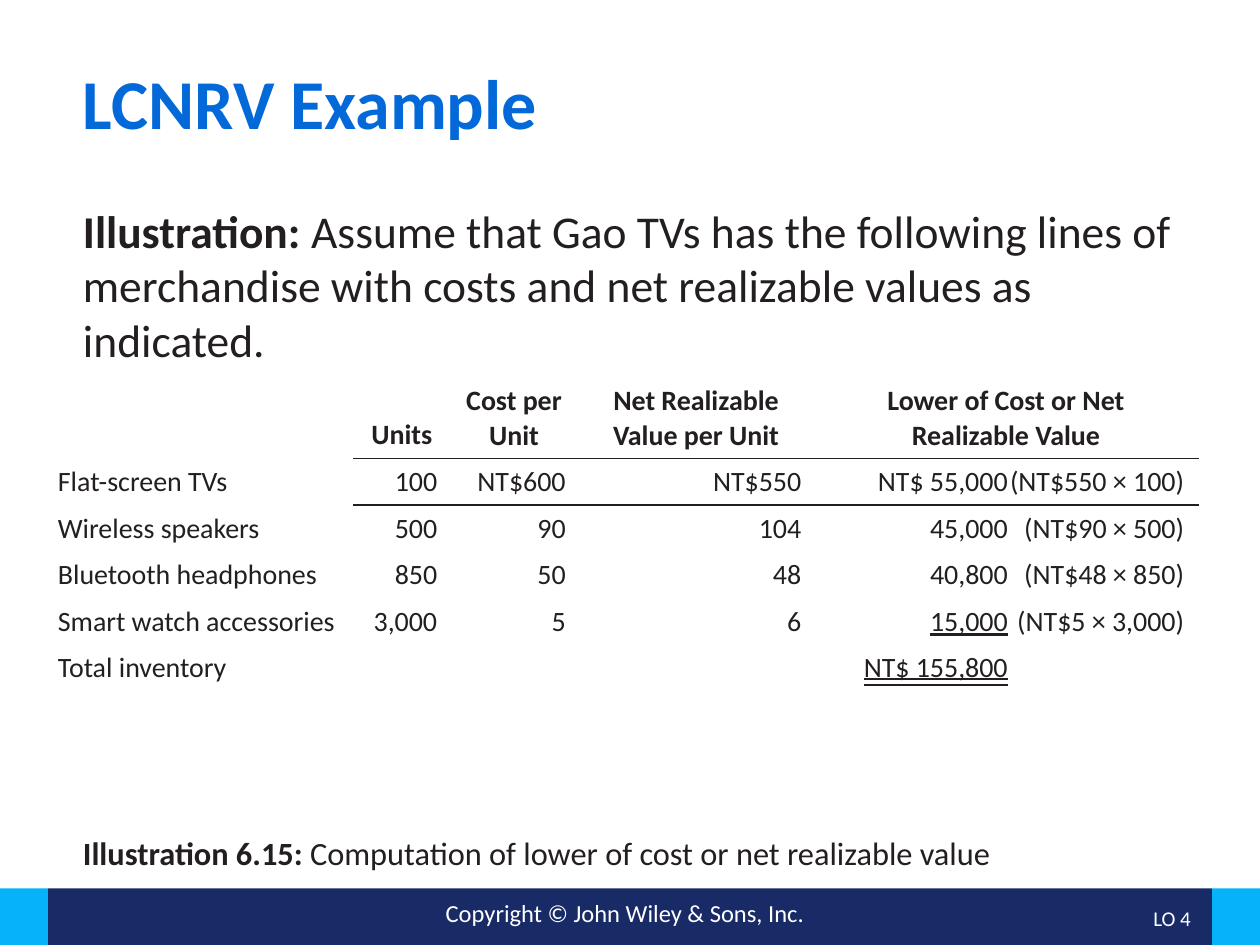
from lxml import etree
from pptx import Presentation
from pptx.dml.color import RGBColor
from pptx.enum.shapes import MSO_SHAPE
from pptx.enum.text import MSO_ANCHOR, MSO_UNDERLINE, PP_ALIGN
from pptx.oxml.ns import qn
from pptx.util import Inches, Pt

RECT = MSO_SHAPE.RECTANGLE
TOP, MID, LOW = MSO_ANCHOR.TOP, MSO_ANCHOR.MIDDLE, MSO_ANCHOR.BOTTOM
LEFT, MIDDLE, RIGHT = PP_ALIGN.LEFT, PP_ALIGN.CENTER, PP_ALIGN.RIGHT
SINGLE, DOUBLE = MSO_UNDERLINE.SINGLE_LINE, MSO_UNDERLINE.DOUBLE_LINE

INK, BLUE, NAVY, SKY, WHITE = "231F20", "0469D8", "192B67", "06B2FA", "FFFFFF"

BARS = [(0.38, 9.24, NAVY), (0, 0.38, SKY), (9.62, 0.38, SKY)]

TEXTS = [
    ((2.5, 7.08, 4.92, 0.34), [("Copyright © John Wiley & Sons, Inc.", {})],
     14, WHITE, MIDDLE, TOP, 1),
    ((0.56, 0.5, 8.88, 0.93), [("LCNRV Example", {"bold": True})],
     40, BLUE, LEFT, TOP, 0.9),
    ((0.56, 1.56, 8.88, 1.44),
     [("Illustration: ", {"bold": True}),
      ("Assume that Gao TVs has the following lines of merchandise "
       "with costs and net realizable values as indicated.", {})],
     26, INK, LEFT, TOP, 1),
    ((0.56, 6.6, 8.79, 0.4),
     [("Illustration 6.15: ", {"bold": True}),
      ("Computation of lower of cost or net realizable value", {})],
     18.5, INK, LEFT, TOP, 0.9),
    ((8.73, 7.1, 0.82, 0.4), [("LO 4", {})], 12, WHITE, RIGHT, MID, 0.9),
]

HEADS = ["", "Units", "Cost per Unit", "Net Realizable Value per Unit",
         "Lower of Cost or Net Realizable Value"]
ITEMS = [
    ("Flat-screen TVs", "100", "NT$600", "NT$550", "NT$ 55,000", "(NT$550 × 100)", None),
    ("Wireless speakers", "500", "90", "104", "45,000", "(NT$90 × 500)", None),
    ("Bluetooth headphones", "850", "50", "48", "40,800", "(NT$48 × 850)", None),
    ("Smart watch accessories", "3,000", "5", "6", "15,000", "(NT$5 × 3,000)", SINGLE),
    ("Total inventory", "", "", "", "NT$ 155,800", "", DOUBLE),
]
WIDTHS = [2.45, 0.76, 1.02, 1.87, 3.05]
HEAD_H, ROW_H = 0.64, 0.37
INDENT = 0.32
TABS = [1.22, 2.62]


def tint(code):
    return RGBColor.from_string(code)


def write(para, runs, size, color, align):
    para.alignment = align
    for text, style in runs:
        run = para.add_run()
        run.text = text
        look = {"name": "Calibri", "size": Pt(size), "bold": False, **style}
        for key, value in look.items():
            setattr(run.font, key, value)
        run.font.color.rgb = tint(color)


def add_bar(slide, left, width, color):
    bar = slide.shapes.add_shape(
        RECT, Inches(left), Inches(7.05), Inches(width), Inches(0.45))
    bar.shadow.inherit = False
    bar.fill.solid()
    bar.fill.fore_color.rgb = tint(color)
    bar.line.fill.background()


def add_text(slide, place, runs, size, color, align, anchor, space):
    frame = slide.shapes.add_textbox(*map(Inches, place)).text_frame
    frame.word_wrap = True
    frame.vertical_anchor = anchor
    para = frame.paragraphs[0]
    para.line_spacing = space
    write(para, runs, size, color, align)


def set_tabs(para):
    stops = etree.SubElement(para._p.get_or_add_pPr(), qn("a:tabLst"))
    for stop in TABS:
        etree.SubElement(stops, qn("a:tab"), pos=str(Inches(stop)), algn="r")


def rule(cell, side):
    line = etree.Element(qn("a:" + side), w=str(Pt(1)))
    fill = etree.SubElement(line, qn("a:solidFill"))
    etree.SubElement(fill, qn("a:srgbClr"), val=INK)
    cell._tc.get_or_add_tcPr().insert(0, line)


def fill_cell(cell, row, col):
    cell.fill.background()
    para = cell.text_frame.paragraphs[0]
    if row == 0:
        cell.vertical_anchor = LOW
        runs, align = [(HEADS[col], {"bold": True})], MIDDLE
    elif col == 4:
        sum_, note, under = ITEMS[row - 1][4:]
        cell.margin_left = Inches(INDENT)
        set_tabs(para)
        runs, align = [("\t" + sum_, {"underline": under})], LEFT
        if note:
            runs.append(("\t" + note, {}))
    else:
        runs, align = [(ITEMS[row - 1][col], {})], RIGHT if col else LEFT
    if runs[0][0]:
        write(para, runs, 16, INK, align)
    else:
        para.font.size = Pt(16)
    if col and row < 2:
        rule(cell, "lnB")
    if col and row in (1, 2):
        rule(cell, "lnT")


def add_grid(slide):
    high = HEAD_H + ROW_H * len(ITEMS)
    grid = slide.shapes.add_table(
        len(ITEMS) + 1, len(WIDTHS), Inches(0.36), Inches(3),
        Inches(sum(WIDTHS)), Inches(high)).table
    grid.first_row = grid.horz_banding = False
    for col, width in enumerate(WIDTHS):
        grid.columns[col].width = Inches(width)
    for row, line in enumerate(grid.rows):
        line.height = Inches(ROW_H if row else HEAD_H)
        for col, cell in enumerate(line.cells):
            fill_cell(cell, row, col)


def main():
    deck = Presentation()
    deck.slide_width, deck.slide_height = Inches(10), Inches(7.5)
    slide = deck.slides.add_slide(deck.slide_layouts[6])
    for bar in BARS:
        add_bar(slide, *bar)
    for text in TEXTS:
        add_text(slide, *text)
    add_grid(slide)
    deck.save("out.pptx")


if __name__ == "__main__":
    main()
